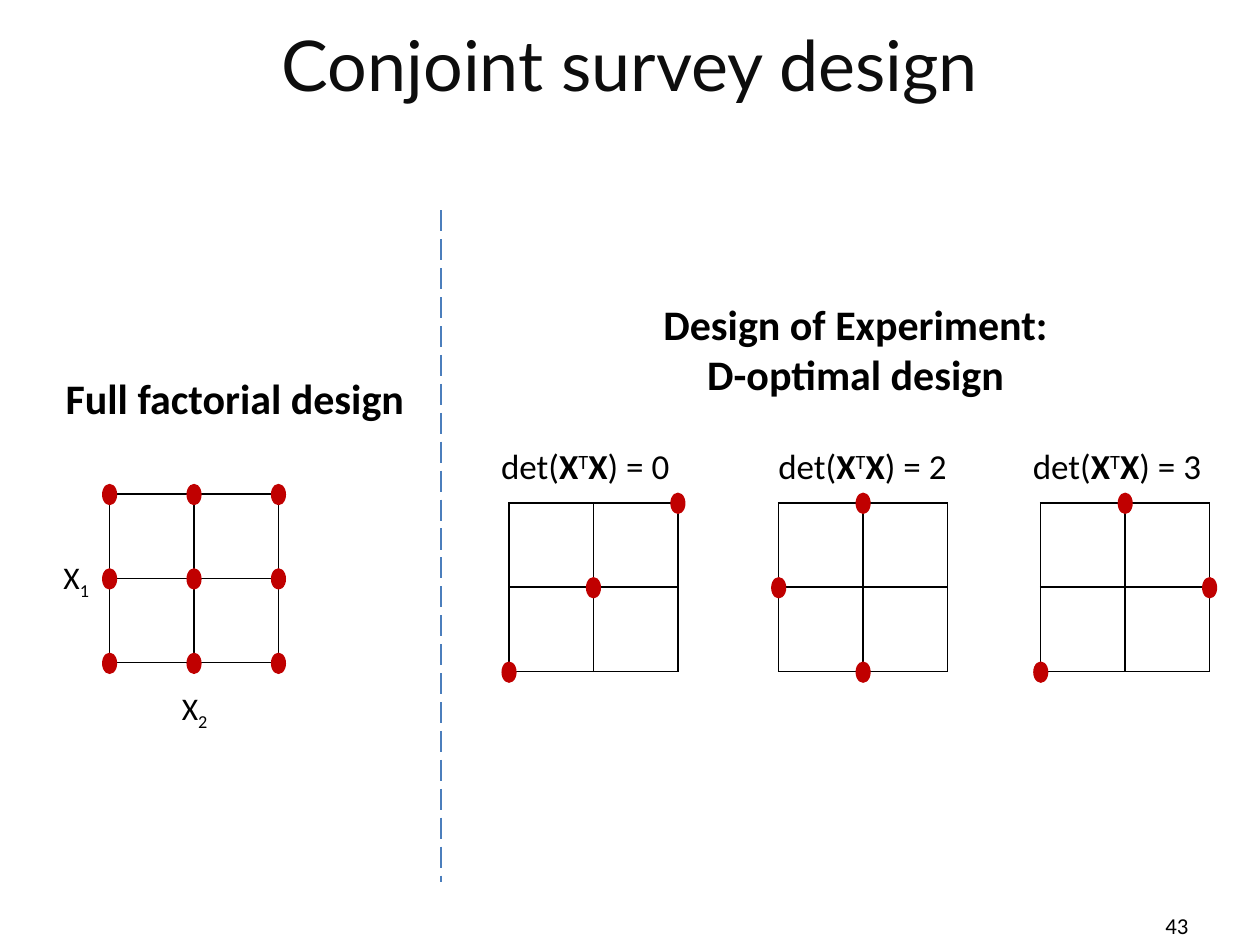
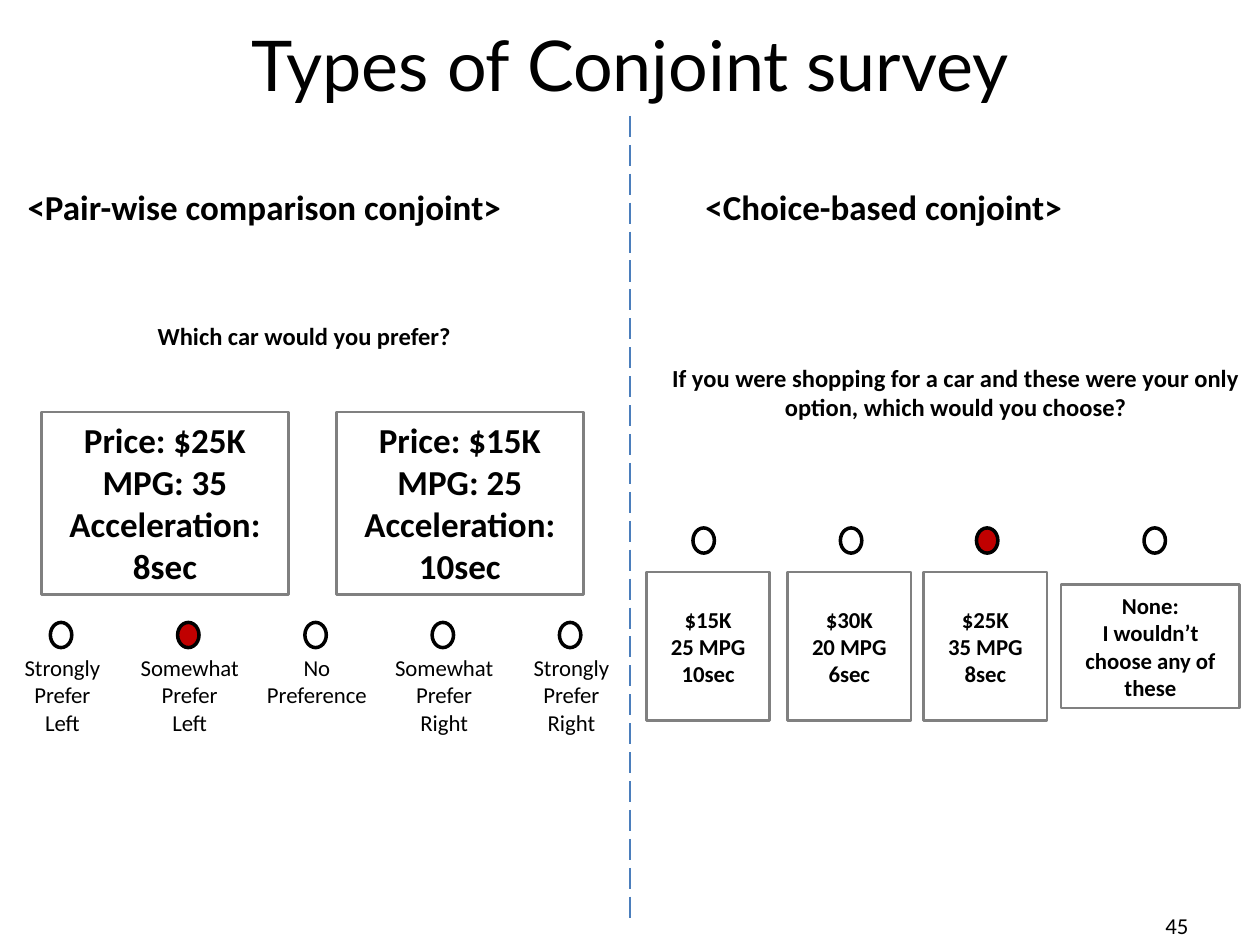
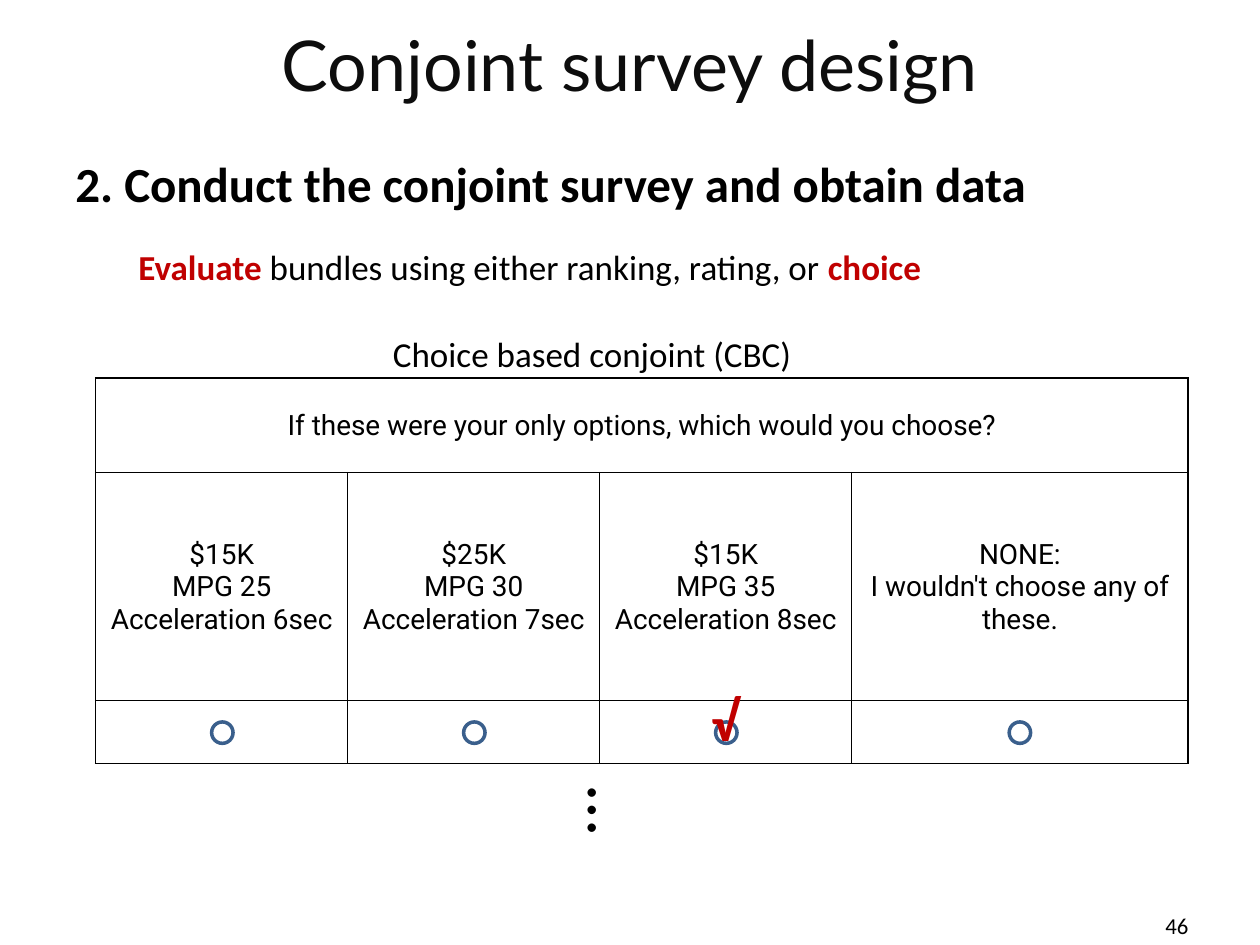
"""Build three slides on conjoint survey design and survey types."""
from dataclasses import dataclass
from typing import NamedTuple

from lxml import etree
from pptx import Presentation
from pptx import util as u
from pptx.dml.color import RGBColor
from pptx.enum import dml, shapes, text
from pptx.oxml import ns

PX = 9144


@dataclass(frozen=True)
class Theme:
    black: str = "000000"
    title_ink: str = "0D0D0D"
    red: str = "C00000"
    grey: str = "808080"
    divider: str = "4B7EBC"
    option_ring: str = "3A5F8C"
    body_font: str = "Calibri"
    title_font: str = "Lato"
    table_font: str = "Roboto"
    title: int = 40
    check: int = 32
    heading: int = 28
    subheading: int = 24
    body: int = 20
    axis: int = 18
    cell: int = 16
    question: int = 14
    small: int = 13


THEME = Theme()
CENTER, RIGHT = text.PP_ALIGN.CENTER, text.PP_ALIGN.RIGHT
MIDDLE = text.MSO_ANCHOR.MIDDLE
TOP = text.MSO_ANCHOR.TOP


class Box(NamedTuple):
    left: int
    top: int
    width: int
    height: int


class Span(NamedTuple):
    text: str
    bold: bool = False
    color: str = THEME.black
    baseline: int = 0


@dataclass(frozen=True)
class Style:
    size: int = THEME.body
    bold: bool = False
    color: str = THEME.black
    font: str = THEME.body_font
    align: text.PP_ALIGN | None = CENTER
    anchor: text.MSO_ANCHOR = TOP
    margins: tuple[int, int] = (10, 5)
    grow: bool = True
    before: int = 0
    spacing: float = 1.0


class Design(NamedTuple):
    left: int
    top: int
    points: list[tuple[int, int]]


class Formula(NamedTuple):
    left: int
    value: int


class Card(NamedTuple):
    box: Box
    lines: list[str]


Line = str | list[Span]


def assign(target, values: dict) -> None:
    """Set every named attribute on the target."""
    for name, value in values.items():
        setattr(target, name, value)


def px(values) -> list[u.Emu]:
    """Turn pixel lengths into EMU."""
    return [u.Emu(value * PX) for value in values]


def write(frame, lines: list[Line], style: Style) -> None:
    """Fill a text frame with styled paragraphs."""
    for index, line in enumerate(lines):
        para = frame.add_paragraph() if index else frame.paragraphs[0]
        assign(para, {"alignment": style.align, "line_spacing": style.spacing,
                      "space_before": u.Pt(style.before)})
        spans = [Span(line, style.bold, style.color)] if isinstance(line, str) else line
        for span in spans:
            run = para.add_run()
            run.text = span.text
            assign(run.font, {"size": u.Pt(style.size), "name": style.font, "bold": span.bold})
            run.font.color.rgb = RGBColor.from_string(span.color)
            if span.baseline:
                run._r.get_or_add_rPr().set("baseline", str(span.baseline * 1000))


def fill_frame(shape, lines: list[Line], style: Style) -> None:
    """Set up the text frame of a shape and write into it."""
    across, down = px(style.margins)
    fit = text.MSO_AUTO_SIZE.SHAPE_TO_FIT_TEXT if style.grow else text.MSO_AUTO_SIZE.NONE
    assign(shape.text_frame, {
        "word_wrap": True, "auto_size": fit, "vertical_anchor": style.anchor,
        "margin_left": across, "margin_right": across, "margin_top": down, "margin_bottom": down,
    })
    write(shape.text_frame, lines, style)


def add_text(page, box: Box, lines: list[Line], style: Style, rotation: int = 0) -> None:
    """Add a text box."""
    shape = page.shapes.add_textbox(*px(box))
    shape.rotation = rotation
    fill_frame(shape, lines, style)


def add_outline(page, kind, box: Box, fill: str = "", line: str = "", weight: float = 0):
    """Add a preset shape with optional fill and line."""
    shape = page.shapes.add_shape(kind, *px(box))
    shape.shadow.inherit = False
    if fill:
        shape.fill.solid()
        shape.fill.fore_color.rgb = RGBColor.from_string(fill)
    else:
        shape.fill.background()
    if line:
        shape.line.color.rgb = RGBColor.from_string(line)
        shape.line.width = u.Pt(weight)
    else:
        shape.line.fill.background()
    return shape


def add_oval(page, box: Box, fill: str = "", line: str = "") -> None:
    """Add a survey dot or option ring."""
    add_outline(page, shapes.MSO_SHAPE.OVAL, box, fill, line, 2)


def add_card(page, card: Card, style: Style) -> None:
    """Add a grey-framed card describing one option."""
    shape = add_outline(page, shapes.MSO_SHAPE.RECTANGLE, card.box, line=THEME.grey, weight=1.5)
    fill_frame(shape, card.lines, style)


def add_divider(page, left: int, top: int, bottom: int) -> None:
    """Add the dashed vertical divider."""
    line = page.shapes.add_connector(shapes.MSO_CONNECTOR.STRAIGHT, *px((left, top, left, bottom)))
    line.line.color.rgb = RGBColor.from_string(THEME.divider)
    assign(line.line, {"width": u.Pt(1.5), "dash_style": dml.MSO_LINE.LONG_DASH})
    etree.SubElement(line._element.spPr, ns.qn("a:effectLst"))


def add_grid(page, left: int, top: int, columns: list[int], rows: list[int]):
    """Add an unfilled table with black cell borders."""
    box = Box(left, top, sum(columns), sum(rows))
    table = page.shapes.add_table(len(rows), len(columns), *px(box)).table
    assign(table, {"first_row": False, "horz_banding": False})
    for column, width in zip(table.columns, px(columns)):
        column.width = width
    for row, height in zip(table.rows, px(rows)):
        row.height = height
    for cell in table.iter_cells():
        for side in ("lnL", "lnR", "lnT", "lnB"):
            border = etree.SubElement(cell._tc.get_or_add_tcPr(), ns.qn(f"a:{side}"), w="12700")
            solid = etree.SubElement(border, ns.qn("a:solidFill"))
            etree.SubElement(solid, ns.qn("a:srgbClr"), val=THEME.black)
        cell.fill.background()
    return table


def fill_cell(cell, lines: list[Line]) -> None:
    """Write centred text into a table cell."""
    edge = u.Emu(PX)
    assign(cell, {"vertical_anchor": MIDDLE, "margin_left": edge, "margin_right": edge,
                  "margin_top": edge, "margin_bottom": 0})
    write(cell.text_frame, lines, Style(THEME.cell, font=THEME.table_font))


def add_page(deck, title: str, number: int, ink: str = THEME.title_ink):
    """Add a blank page with its title and page number."""
    page = deck.slides.add_slide(deck.slide_layouts[6])
    add_text(page, Box(0, 17, 1000, 75), [title],
             Style(THEME.title, color=ink, font=THEME.title_font, margins=(0, 0), grow=False))
    add_text(page, Box(899, 720, 54, 29), [str(number)],
             Style(THEME.small, align=RIGHT, anchor=MIDDLE, grow=False))
    return page


def add_design(page, design: Design, step: int = 67) -> None:
    """Add a two-by-two grid with dots on the chosen grid points."""
    add_grid(page, design.left, design.top, [step] * 2, [step] * 2)
    for column, row in design.points:
        add_oval(page, Box(design.left + column * step - 6, design.top + row * step - 8, 12, 17),
                 THEME.red)


def build_factorial(deck) -> None:
    """Build the page comparing full factorial and D-optimal designs."""
    page = add_page(deck, "Conjoint survey design", 43)
    heading = Style(THEME.subheading, bold=True)
    add_text(page, Box(475, 232, 408, 91), ["Design of Experiment:", "D-optimal design"], heading)
    add_text(page, Box(18, 291, 337, 50), ["Full factorial design"], heading)
    add_divider(page, 350, 167, 700)
    for left, top, index in ((27, 438, "1"), (121, 542, "2")):
        add_text(page, Box(left, top, 67, 40), [[Span("X"), Span(index, baseline=-25)]],
                 Style(THEME.axis))
    for design in (
        Design(87, 392, [(column, row) for column in range(3) for row in range(3)]),
        Design(404, 399, [(0, 2), (1, 1), (2, 0)]),
        Design(618, 399, [(0, 1), (1, 0), (1, 2)]),
        Design(826, 399, [(0, 2), (1, 0), (2, 1)]),
    ):
        add_design(page, design)
    for formula in (Formula(383, 0), Formula(603, 2), Formula(805, 3)):
        spans = [Span("det("), Span("X", True), Span("T", baseline=30), Span("X", True),
                 Span(f") = {formula.value}")]
        add_text(page, Box(formula.left, 348, 163, 44), [spans], Style())


def build_types(deck) -> None:
    """Build the page on pair-wise and choice-based surveys."""
    page = add_page(deck, "Types of Conjoint survey", 45, THEME.black)
    heading = Style(bold=True, align=None, before=6)
    question = Style(THEME.question, bold=True)
    add_text(page, Box(12, 142, 479, 44), ["<Pair-wise comparison conjoint>"], heading)
    add_text(page, Box(550, 142, 402, 44), ["<Choice-based conjoint>"], heading)
    add_text(page, Box(0, 250, 483, 34), ["Which car would you prefer?"], question)
    add_text(page, Box(517, 283, 483, 57), [
        "If you were shopping for a car and these were your only option, which would you choose?"
    ], question)
    add_divider(page, 500, 92, 731)

    for card in (
        Card(Box(33, 327, 196, 145), ["Price: $25K", "MPG: 35", "Acceleration: 8sec"]),
        Card(Box(267, 327, 196, 145), ["Price: $15K", "MPG: 25", "Acceleration: 10sec"]),
    ):
        add_card(page, card, Style(bold=True))
    ratings = ("Strongly Prefer Left", "Somewhat Prefer Left", "No Preference",
               "Somewhat Prefer Right", "Strongly Prefer Right")
    for index, rating in enumerate(ratings):
        words = rating.split()
        offset = 101 * index
        add_text(page, Box(offset - 12, 514, 123, 10 + 22 * len(words)), words, Style(THEME.small))
        add_oval(page, Box(offset + 40, 494, 17, 20), THEME.red if index == 1 else "", THEME.black)

    choice = Style(THEME.small, bold=True, anchor=MIDDLE, grow=False)
    for card in (
        Card(Box(513, 454, 98, 118), ["$15K", "25 MPG", "10sec"]),
        Card(Box(625, 454, 98, 118), ["$30K", "20 MPG", "6sec"]),
        Card(Box(733, 454, 98, 118), ["$25K", "35 MPG", "8sec"]),
        Card(Box(842, 464, 142, 98), ["None:", "I wouldn’t choose any of these"]),
    ):
        add_card(page, card, choice)
    for left in (550, 667, 775, 908):
        add_oval(page, Box(left, 419, 17, 20), THEME.red if left == 775 else "", THEME.black)


def build_survey(deck) -> None:
    """Build the page with the choice-based survey table."""
    page = add_page(deck, "Conjoint survey design", 46)
    add_text(page, Box(50, 117, 900, 57), ["2. Conduct the conjoint survey and obtain data"],
             Style(THEME.heading, bold=True, align=None))
    body = Style(align=None, spacing=1.5)
    add_text(page, Box(100, 173, 783, 61), [[
        Span("Evaluate", True, THEME.red), Span(" bundles using either ranking, rating, or "),
        Span("choice", True, THEME.red),
    ]], body)

    left, columns = 76, [200, 200, 200, 267]
    table = add_grid(page, left, 300, columns, [75, 181, 50])
    table.cell(0, 0).merge(table.cell(0, 3))
    fill_cell(table.cell(0, 0), ["If these were your only options, which would you choose?"])
    options = (
        ["$15K", "MPG 25", "Acceleration 6sec"],
        ["$25K", "MPG 30", "Acceleration 7sec"],
        ["$15K", "MPG 35", "Acceleration 8sec"],
        ["NONE:", "I wouldn't choose any of these."],
    )
    for index, option in enumerate(options):
        fill_cell(table.cell(1, index), option)
        middle = left + sum(columns[:index]) + columns[index] // 2
        add_oval(page, Box(middle - 8, 573, 17, 17), line=THEME.option_ring)

    add_text(page, Box(555, 539, 33, 64), ["√"],
             Style(THEME.check, bold=True, color=THEME.red, align=None))
    add_text(page, Box(302, 242, 427, 61), ["Choice based conjoint (CBC)"], body)
    add_text(page, Box(464, 601, 50, 77), ["…"], Style(THEME.title, align=None), rotation=90)


def main() -> None:
    """Build and save the deck."""
    deck = Presentation()
    assign(deck, dict(zip(("slide_width", "slide_height"), px((1000, 750)))))
    for build in (build_factorial, build_types, build_survey):
        build(deck)
    deck.save("out.pptx")


if __name__ == "__main__":
    main()
